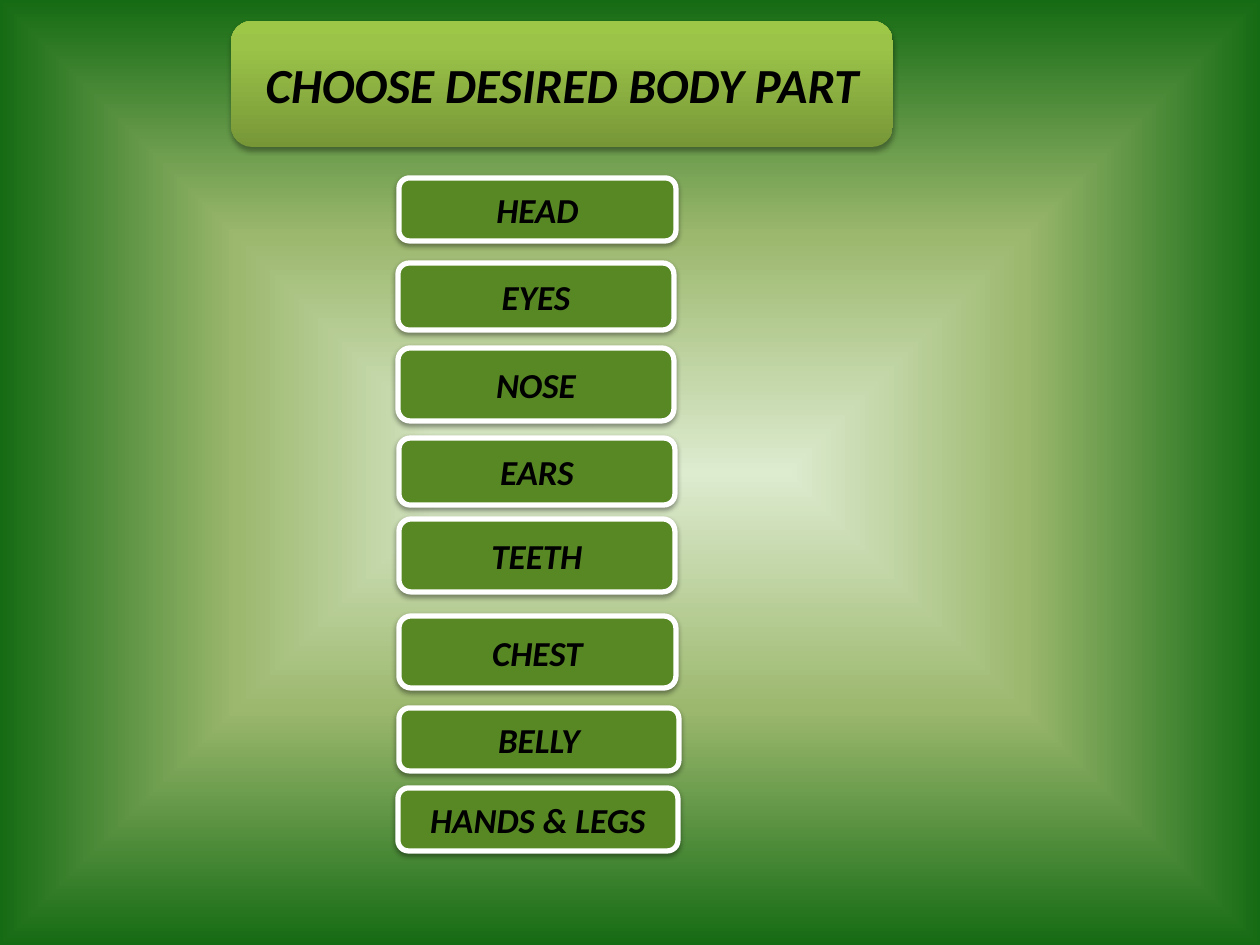
from lxml import etree
from pptx import Presentation
from pptx import util as u
from pptx.dml.color import RGBColor
from pptx.enum import shapes, text
from pptx.oxml import ns, parse_xml

PX = u.Inches(1) / 126
BACKDROP = [(0, "DDEBCF"), (50, "9CB86E"), (100, "156B13")]
TITLE_STOPS = [(0, "779737"), (80, "9BC348"), (100, "9DC746")]
BUTTONS = [
    ("HEAD", 0, 0, 277, 63),
    ("EYES", -1, 85, 276, 67),
    ("NOSE", -1, 170, 276, 73),
    ("EARS", 0, 260, 276, 67),
    ("TEETH", 0, 341, 276, 73),
    ("CHEST", 0, 438, 277, 72),
    ("BELLY", 0, 530, 280, 63),
    ("HANDS & LEGS", -1, 610, 280, 63),
]


def px(n):
    """Turn pixels into EMU."""
    return u.Emu(round(n * PX))


def color(hex_string):
    """Turn a hex string into a colour."""
    return RGBColor.from_string(hex_string)


def set_gradient(fill, owner, stops, shade):
    """Give a fill the stops and the linear or path shade."""
    fill.gradient()
    old = owner.find(".//" + ns.qn("a:gradFill"))
    marks = "".join(
        f'<a:gs pos="{pos * 1000}"><a:srgbClr val="{c}"/></a:gs>' for pos, c in stops)
    old.getparent().replace(old, parse_xml(
        f'<a:gradFill {ns.nsdecls("a")} rotWithShape="1">'
        f'<a:gsLst>{marks}</a:gsLst>{shade}</a:gradFill>'))


def set_shadow(sp, alpha, distance):
    """Drop a soft black shadow straight down."""
    sp.shadow.inherit = False
    effects = sp.element.spPr.find(ns.qn("a:effectLst"))
    shadow = etree.SubElement(
        effects, ns.qn("a:outerShdw"), blurRad=str(u.Pt(3.1)),
        dist=str(u.Pt(distance)), dir="5400000", rotWithShape="0")
    black = etree.SubElement(shadow, ns.qn("a:srgbClr"), val="000000")
    etree.SubElement(black, ns.qn("a:alpha"), val=str(alpha * 1000))


def add_box(s, x, y, w, h, label, size):
    """Add a rounded box with a centred bold italic label."""
    sp = s.shapes.add_shape(
        shapes.MSO_SHAPE.FLOWCHART_ALTERNATE_PROCESS, px(x), px(y), px(w), px(h))
    tf = sp.text_frame
    tf.word_wrap = True
    tf.vertical_anchor = text.MSO_ANCHOR.MIDDLE
    p = tf.paragraphs[0]
    p.text = label
    p.alignment = text.PP_ALIGN.CENTER
    p.font.name = "Calibri"
    p.font.size = u.Pt(size)
    p.font.bold = p.font.italic = True
    p.font.color.rgb = color("000000")
    return sp


def add_background(s):
    """Fill the slide with a gradient that spreads from its centre."""
    set_gradient(
        s.background.fill, s.element, BACKDROP,
        '<a:path path="shape"><a:fillToRect l="50000" t="50000" r="50000" b="50000"/></a:path>')


def add_title(s, x, y, w, h):
    """Add the gradient title box."""
    sp = add_box(s, x, y, w, h, "CHOOSE DESIRED BODY PART", 28)
    set_gradient(sp.fill, sp.element, TITLE_STOPS, '<a:lin ang="16200000" scaled="0"/>')
    sp.line.fill.background()
    set_shadow(sp, 35, 1.8)


def add_buttons(s, x, y):
    """Add the column of body part buttons."""
    for label, dx, dy, w, h in BUTTONS:
        sp = add_box(s, x + dx, y + dy, w, h, label, 20)
        sp.fill.solid()
        sp.fill.fore_color.rgb = color("588824")
        sp.line.color.rgb = color("FFFFFF")
        sp.line.width = u.Pt(3)
        set_shadow(sp, 38, 1.6)


def main():
    """Build and save the slide."""
    prs = Presentation()
    prs.slide_width, prs.slide_height = px(1260), px(945)
    s = prs.slides.add_slide(prs.slide_layouts[6])
    add_background(s)
    add_title(s, 231, 21, 662, 126)
    add_buttons(s, 399, 178)
    prs.save("out.pptx")


if __name__ == "__main__":
    main()
